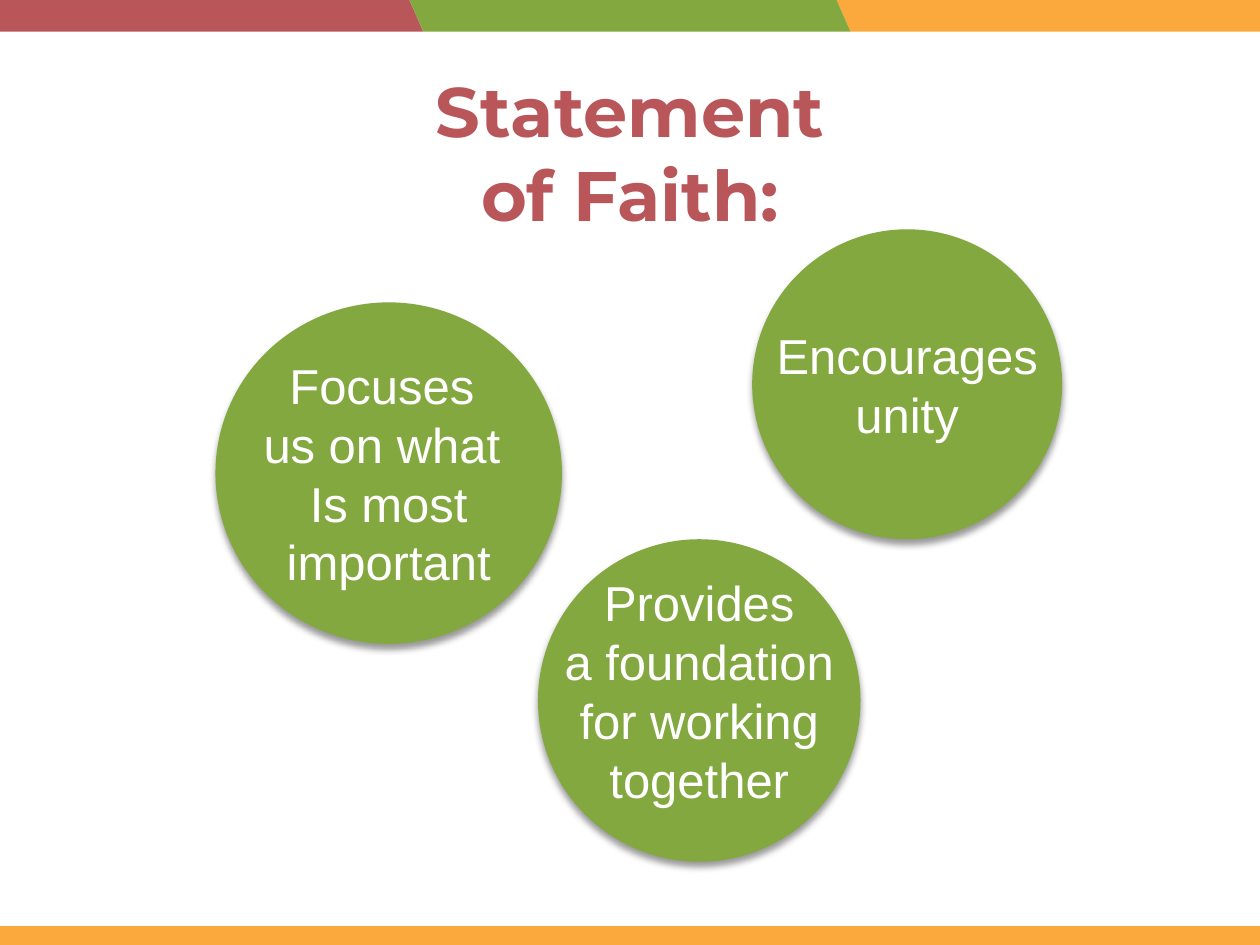
from lxml.etree import SubElement
from pptx import Presentation
from pptx.dml.color import RGBColor as RGB
from pptx.enum.shapes import MSO_SHAPE as SHAPE
from pptx.enum.text import MSO_ANCHOR as ANCHOR, PP_ALIGN as ALIGN
from pptx.oxml.ns import qn
from pptx.util import Inches, Pt

THEME = {
    "red": RGB(0xB9, 0x56, 0x59),
    "green": RGB(0x83, 0xA8, 0x3F),
    "orange": RGB(0xFB, 0xA9, 0x3D),
    "white": RGB(0xFF, 0xFF, 0xFF),
    "title": {"size": Pt(40), "name": "Montserrat", "bold": True},
    "body": {"size": Pt(28), "name": "Arial"},
}

prs = Presentation()
prs.slide_width, prs.slide_height = Inches(10), Inches(7.5)
s = prs.slides.add_slide(prs.slide_layouts[6])


def add_block(kind, box, color):
    sp = s.shapes.add_shape(kind, *map(Inches, box))
    sp.shadow.inherit = False
    sp.fill.solid()
    sp.fill.fore_color.rgb = THEME[color]
    sp.line.fill.background()
    return sp


def write(tf, lines, style, color):
    for i, line in enumerate(lines):
        p = tf.paragraphs[0] if i == 0 else tf.add_paragraph()
        p.text = line
        p.alignment = ALIGN.CENTER
        for r in p.runs:
            for key, value in THEME[style].items():
                setattr(r.font, key, value)
            r.font.color.rgb = THEME[color]


for left, color in [(6.64, "orange"), (-0.14, "red"), (3.25, "green")]:
    sp = add_block(SHAPE.PARALLELOGRAM, (left, 0, 3.5, 0.25), color)
    sp.adjustments[0] = 0.44
    sp._element.spPr.find(qn("a:xfrm")).set("flipH", "1")
add_block(SHAPE.RECTANGLE, (0, 7.35, 10, 0.15), "orange")

title = s.shapes.add_textbox(*map(Inches, (2.98, 0.49, 4.04, 1.45)))
title.text_frame.word_wrap = True
write(title.text_frame, ["Statement\vof Faith:"], "title", "red")

circles = [
    ((1.71, 2.4, 2.75, 2.71), ANCHOR.MIDDLE,
     ["Focuses ", "us on what ", "Is most\vimportant"]),
    ((5.97, 1.82, 2.46, 2.46), ANCHOR.MIDDLE, ["Encourages", "unity"]),
    ((4.27, 4.28, 2.56, 2.56), ANCHOR.BOTTOM,
     ["Provides", "a foundation\vfor working\vtogether"]),
]
for box, anchor, lines in circles:
    sp = add_block(SHAPE.OVAL, box, "green")
    effects = sp._element.spPr.find(qn("a:effectLst"))
    shadow = SubElement(effects, qn("a:outerShdw"), blurRad=str(Pt(4)),
                        dist=str(Pt(3)), dir="5400000", rotWithShape="0")
    black = SubElement(shadow, qn("a:srgbClr"), val="000000")
    SubElement(black, qn("a:alpha"), val="40000")
    tf = sp.text_frame
    tf.word_wrap = False
    tf.vertical_anchor = anchor
    write(tf, lines, "body", "white")

prs.save("out.pptx")
